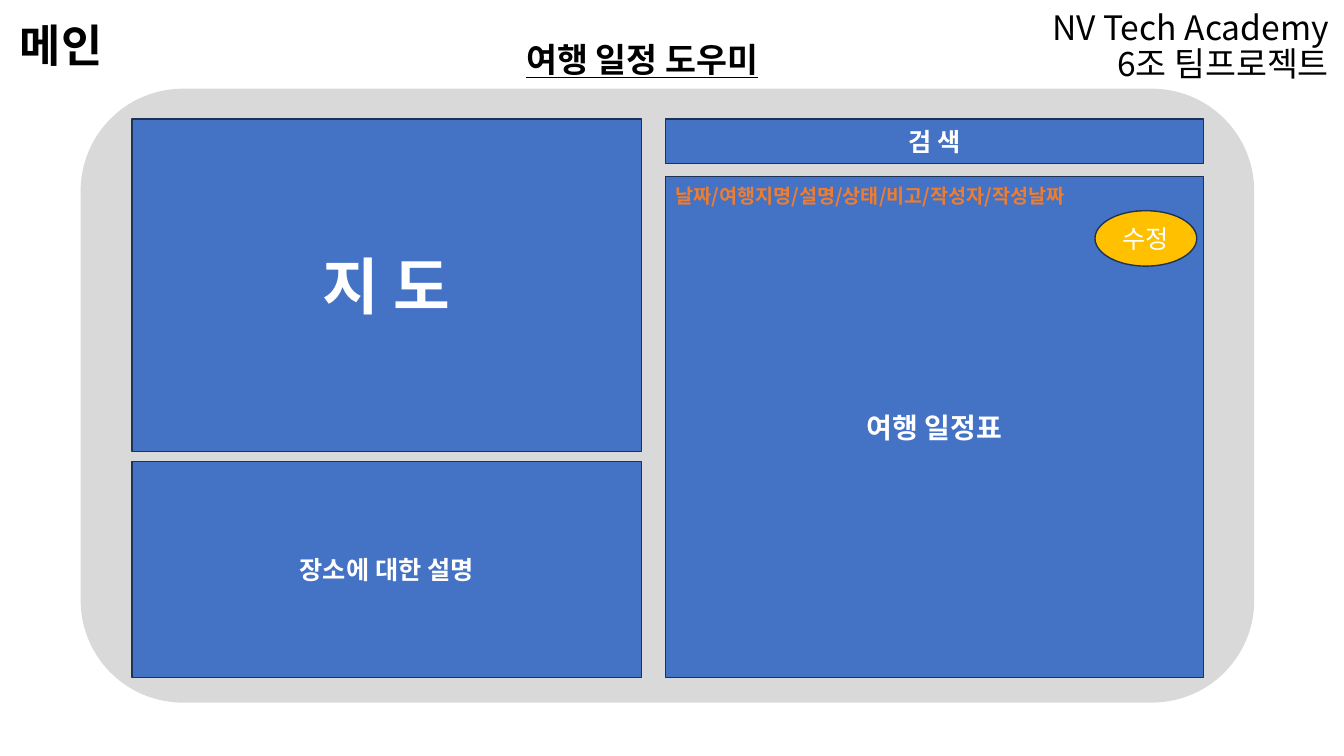
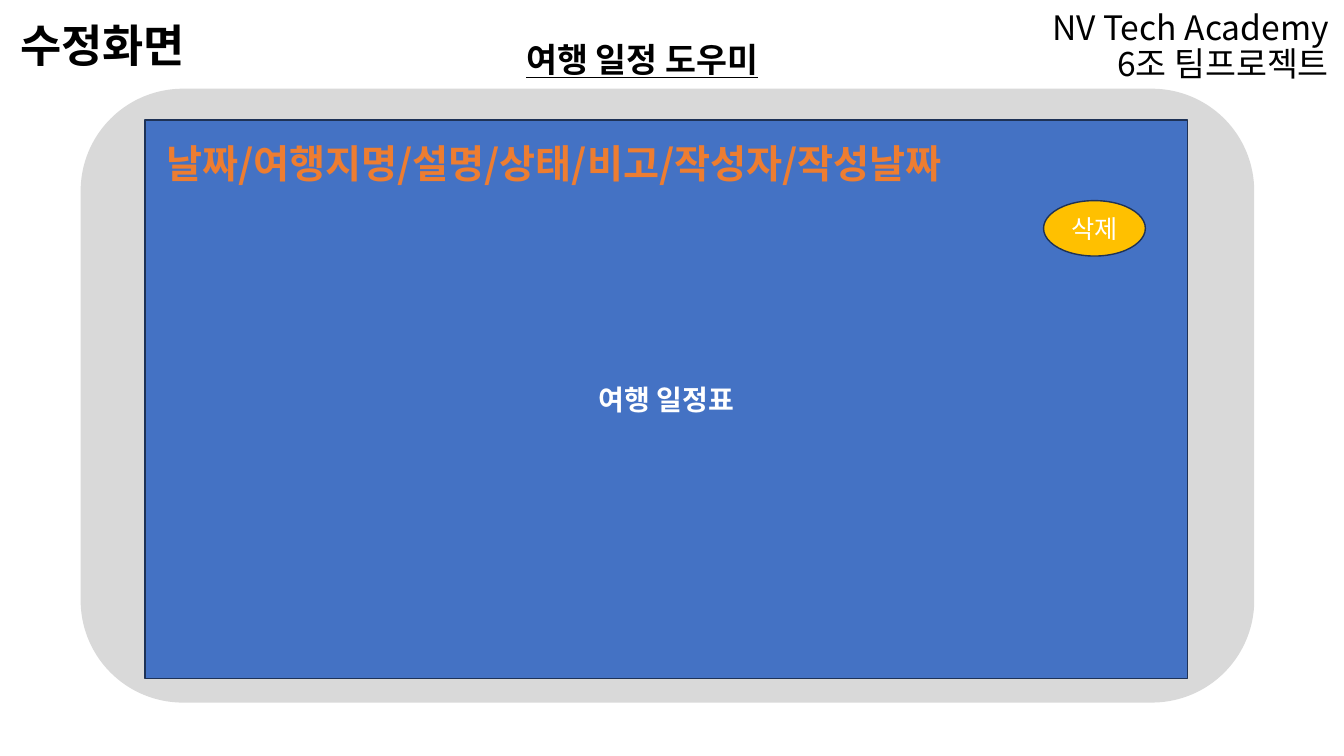
from copy import deepcopy

from lxml import etree
from pptx import Presentation
from pptx.dml.color import RGBColor
from pptx.enum.shapes import MSO_SHAPE
from pptx.enum.text import MSO_ANCHOR, MSO_AUTO_SIZE, PP_ALIGN
from pptx.oxml.ns import qn
from pptx.util import Inches, Pt

LEFT, CENTER, RIGHT = PP_ALIGN.LEFT, PP_ALIGN.CENTER, PP_ALIGN.RIGHT
TOP, MIDDLE, BOTTOM = MSO_ANCHOR.TOP, MSO_ANCHOR.MIDDLE, MSO_ANCHOR.BOTTOM
FIXED, GROW = MSO_AUTO_SIZE.NONE, MSO_AUTO_SIZE.SHAPE_TO_FIT_TEXT
RECTANGLE, ROUNDED, OVAL = (
    MSO_SHAPE.RECTANGLE, MSO_SHAPE.ROUNDED_RECTANGLE, MSO_SHAPE.OVAL)

FONT = "Noto Sans CJK KR"
BLACK, WHITE, GRAY = "000000", "FFFFFF", "D9D9D9"
BLUE, NAVY, ORANGE, AMBER = "4472C4", "1E3256", "ED7D31", "FFC000"

TEAM = "NV Tech Academy\v6조 팀프로젝트"
PRODUCT = "여행 일정 도우미"
FIELDS = "/".join(["날짜", "여행지명", "설명", "상태", "비고", "작성자", "작성날짜"])
SCHEDULE = "여행 일정표"

TITLE_PLACE = (3.28, -0.22, 10, 1.1)
SUBTITLE_PLACE = (1.37, 0.38, 10, 1.14)
FRAME_PLACE = (0.8, 0.88, 11.64, 6.09)
BUTTON_SIZE = (1.01, 0.55)

# Panels: place, wording, text size
SCREENS = [
    {
        "name": "메인",
        "name_width": 2.34,
        "panels": [
            ((1.31, 1.18, 5.05, 3.3), "지 도", 44),
            ((6.6, 1.18, 5.34, 0.44), "검 색", 18),
            ((6.6, 1.75, 5.34, 4.97), SCHEDULE, 20),
            ((1.31, 4.58, 5.05, 2.14), "장소에 대한 설명", 18),
        ],
        "fields": ((6.6, 1.78, 5.11, 0.34), 14),
        "button": ((10.86, 2.09), "수정"),
    },
    {
        "name": "수정화면",
        "name_width": 2.42,
        "panels": [((1.44, 1.19, 10.34, 5.54), SCHEDULE, 20)],
        "fields": ((1.55, 1.33, 9.88, 0.57), 28),
        "button": ((10.35, 1.99), "삭제"),
    },
]


def paint(fill, color):
    """Make a fill solid in the given hex colour."""
    fill.solid()
    fill.fore_color.rgb = RGBColor.from_string(color)


def write(shape, text, size, color, align=CENTER, frame_format=None,
          paragraph_format=None, **font_format):
    """Put one formatted paragraph of text into a shape."""
    frame = shape.text_frame
    frame.text = text
    paragraph = frame.paragraphs[0]
    frame_values = {"word_wrap": True, "auto_size": FIXED,
                    "vertical_anchor": MIDDLE, **(frame_format or {})}
    paragraph_values = {"alignment": align, **(paragraph_format or {})}
    font_values = {"name": FONT, "size": Pt(size), **font_format}
    targets = [(frame, frame_values), (paragraph, paragraph_values)]
    targets += [(run.font, font_values) for run in paragraph.runs]
    for target, values in targets:
        for attribute, value in values.items():
            setattr(target, attribute, value)
    for run in paragraph.runs:
        paint(run.font.fill, color)
        properties = run._r.get_or_add_rPr()
        etree.SubElement(properties, qn("a:ea"), typeface=FONT)
    for line_break in paragraph._p.findall(qn("a:br")):
        line_break.append(deepcopy(properties))


prs = Presentation()
prs.slide_width, prs.slide_height = Inches(13.33), Inches(7.5)

for screen in SCREENS:
    slide = prs.slides.add_slide(prs.slide_layouts[0])
    title, subtitle = slide.placeholders
    for heading, place in ((title, TITLE_PLACE), (subtitle, SUBTITLE_PLACE)):
        for side, length in zip(("left", "top", "width", "height"), place):
            setattr(heading, side, Inches(length))
    write(title, TEAM, 24, BLACK, RIGHT, {"vertical_anchor": BOTTOM},
          {"line_spacing": 0.9})
    write(subtitle, PRODUCT, 24, BLACK, CENTER, {"vertical_anchor": TOP},
          {"line_spacing": 0.9, "space_before": Pt(10)},
          bold=True, underline=True)

    # Frame, panels and button, from back to front
    button_corner, button_text = screen["button"]
    blocks = [(ROUNDED, FRAME_PLACE, GRAY, None, None, False)]
    blocks += [(RECTANGLE, place, BLUE, text, size, True)
               for place, text, size in screen["panels"]]
    blocks.append((OVAL, button_corner + BUTTON_SIZE, AMBER, button_text, 18, False))
    for outline, place, color, text, size, bold in blocks:
        block = slide.shapes.add_shape(outline, *map(Inches, place))
        block.shadow.inherit = False
        paint(block.fill, color)
        if text:
            paint(block.line.fill, NAVY)
            block.line.width = Pt(1)
            write(block, text, size, WHITE, bold=bold)
        else:
            block.line.fill.background()

    # Field list and screen name
    fields_place, fields_size = screen["fields"]
    name_place = (0.1, 0.13, screen["name_width"], 0.64)
    for place, text, size, color in (
            (fields_place, FIELDS, fields_size, ORANGE),
            (name_place, screen["name"], 32, BLACK)):
        label = slide.shapes.add_textbox(*map(Inches, place))
        write(label, text, size, color, LEFT,
              {"auto_size": GROW, "vertical_anchor": TOP}, bold=True)

prs.save("out.pptx")
